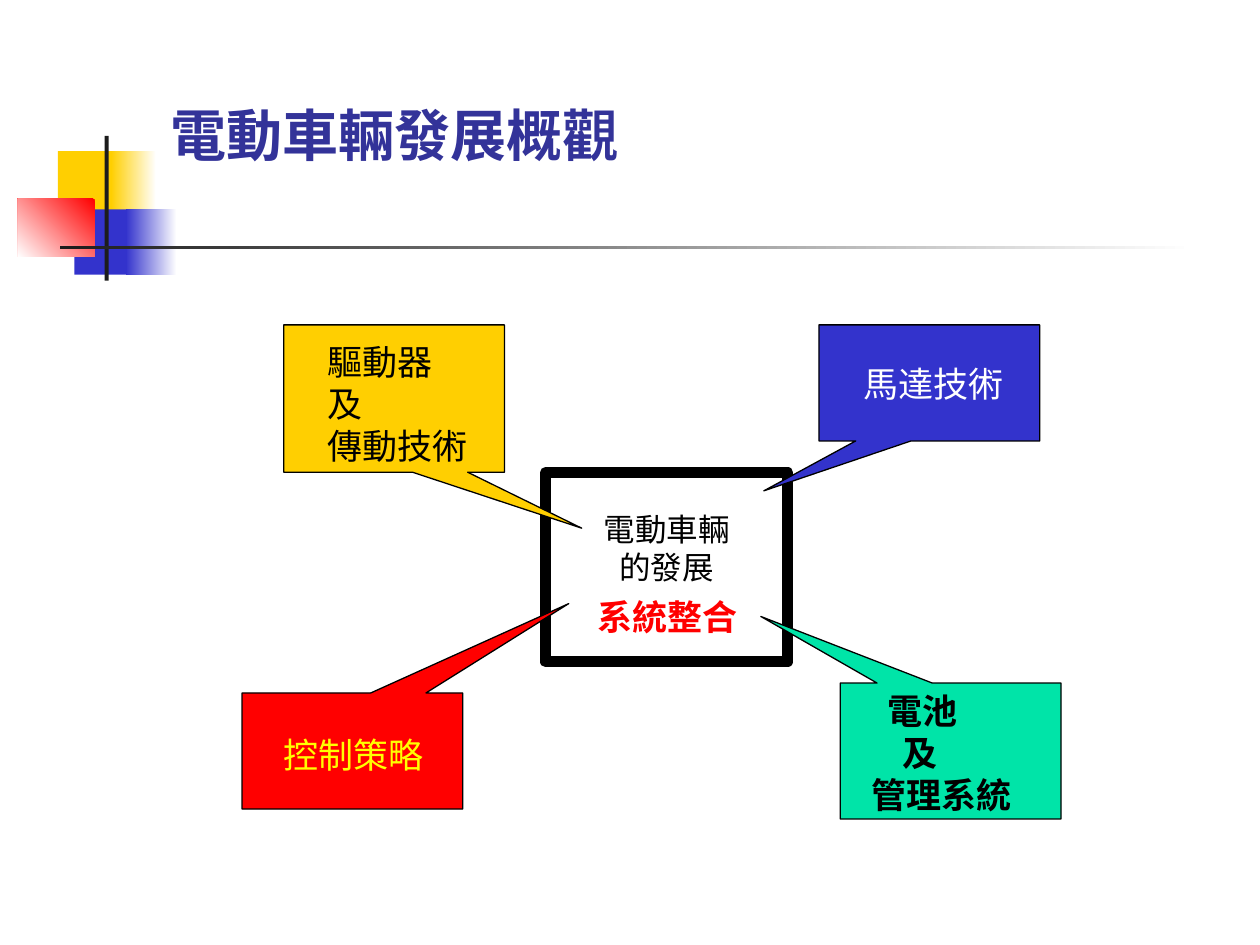
from pptx import Presentation
from pptx.dml.color import RGBColor
from pptx.enum.shapes import MSO_SHAPE
from pptx.enum.text import MSO_ANCHOR, PP_ALIGN
from pptx.util import Cm, Pt

RECT = MSO_SHAPE.RECTANGLE
CALLOUT = MSO_SHAPE.RECTANGULAR_CALLOUT
LEFT, CENTER = PP_ALIGN.LEFT, PP_ALIGN.CENTER
TOP, MIDDLE, BOTTOM = MSO_ANCHOR.TOP, MSO_ANCHOR.MIDDLE, MSO_ANCHOR.BOTTOM

YELLOW, BLUE, RED = "FFCF01", "3333CC", "FF0000"
GREEN, DARK, BLACK, WHITE = "00E4A8", "1C1C1C", "000000", "FFFFFF"


def rgb(value):
    return RGBColor.from_string(value)


def write(tf, lines, size=20, color=BLACK, font="Cabin", bold=False,
          align=LEFT, anchor=TOP, wrap=False, indents=()):
    tf.word_wrap = wrap
    tf.vertical_anchor = anchor
    for i, line in enumerate(lines):
        p = tf.paragraphs[0] if i == 0 else tf.add_paragraph()
        p.alignment = align
        if indents:
            p._p.get_or_add_pPr().set("marL", str(Cm(indents[i])))
        r = p.add_run()
        r.text = line
        r.font.size = Pt(size)
        r.font.name = font
        r.font.bold = bold
        r.font.color.rgb = rgb(color)


def add_box(slide, box, fill, kind=RECT, line=0):
    sp = slide.shapes.add_shape(kind, *map(Cm, box))
    sp.shadow.inherit = False
    sp.fill.solid()
    sp.fill.fore_color.rgb = rgb(fill)
    if line:
        sp.line.color.rgb = rgb(BLACK)
        sp.line.width = Pt(line)
    else:
        sp.line.fill.background()
    return sp


def add_label(slide, box, lines, **style):
    sp = slide.shapes.add_textbox(*map(Cm, box))
    write(sp.text_frame, lines, **style)


def add_fade(slide, box, start, end, angle=180):
    fill = add_box(slide, box, start).fill
    fill.gradient()
    fill.gradient_angle = angle
    for stop, color in zip(fill.gradient_stops, (start, end)):
        stop.color.rgb = rgb(color)


def add_title(slide, box, text):
    sp = slide.shapes.title
    sp.left, sp.top, sp.width, sp.height = map(Cm, box)
    write(sp.text_frame, [text], size=32, color="333399", font="Arial",
          bold=True, anchor=BOTTOM, wrap=True)


def add_ornament(slide, x, y):
    for dx, dy, w, fade_dx, fade_w, color in (
            (0.81, 0.31, 1.22, 1.88, 0.91, YELLOW),
            (1.14, 1.48, 1.17, 2.18, 1.02, BLUE)):
        add_box(slide, (x + dx, y + dy, w, 1.32), color)
        add_fade(slide, (x + fade_dx, y + dy, fade_w, 1.32), WHITE, color)
    add_fade(slide, (x, y + 1.27, 1.55, 1.17), RED, WHITE, 225)
    add_box(slide, (x + 1.75, y, 0.08, 2.92), DARK)
    add_fade(slide, (x + 0.86, y + 2.21, 22.86, 0.08), WHITE, DARK)


def add_core(slide, box):
    x, y, w, h = box
    sp = add_box(slide, box, WHITE, line=6.5)
    sp.text_frame.margin_bottom = Cm(0.89)
    write(sp.text_frame, ["電動車輛", "的發展"], size=18,
          align=CENTER, anchor=MIDDLE)


def add_core_label(slide, box):
    x, y, w, h = box
    add_label(slide, (x + 0.64, y + 2.34, 3.81, 1.12), ["系統整合"],
              color=RED, bold=True, wrap=True, indents=[0.15])


def add_callout(slide, box, fill, tip, offset, label_size, lines, **style):
    x, y, w, h = box
    sp = add_box(slide, box, fill, CALLOUT, 0.75)
    sp.adjustments[0], sp.adjustments[1] = tip
    dx, dy = offset
    add_label(slide, (x + dx, y + dy, *label_size), lines, **style)


prs = Presentation()
prs.slide_width, prs.slide_height = Cm(25.4), Cm(19.05)
slide = prs.slides.add_slide(prs.slide_layouts[5])

add_ornament(slide, 0.36, 2.74)
add_title(slide, (3.18, 2.24, 21.64, 1.27), "電動車輛發展概觀")

core = (11, 9.53, 4.88, 3.81)
one_line, three_lines = (3.33, 1.12), (3.33, 2.79)
add_core(slide, core)
add_callout(slide, (16.51, 6.55, 4.45, 2.34), BLUE, (-0.75, 0.93),
            (0.64, 0.64), one_line, ["馬達技術"], color=WHITE)
add_callout(slide, (5.72, 6.55, 4.45, 2.97), YELLOW, (0.85, 0.88),
            (0.64, 0.18), three_lines, ["驅動器", "及", "傳動技術"])
add_callout(slide, (4.88, 13.97, 4.45, 2.34), RED, (0.98, -1.27),
            (0.58, 0.69), one_line, ["控制策略"], color="FFFF00")
add_callout(slide, (16.94, 13.77, 4.45, 2.74), GREEN, (-0.86, -0.99),
            (0.23, 0), (3.48, 2.79), ["電池", "及", "管理系統"],
            bold=True, indents=[0.48, 0.78, 0.15])
add_core_label(slide, core)

prs.save("out.pptx")
